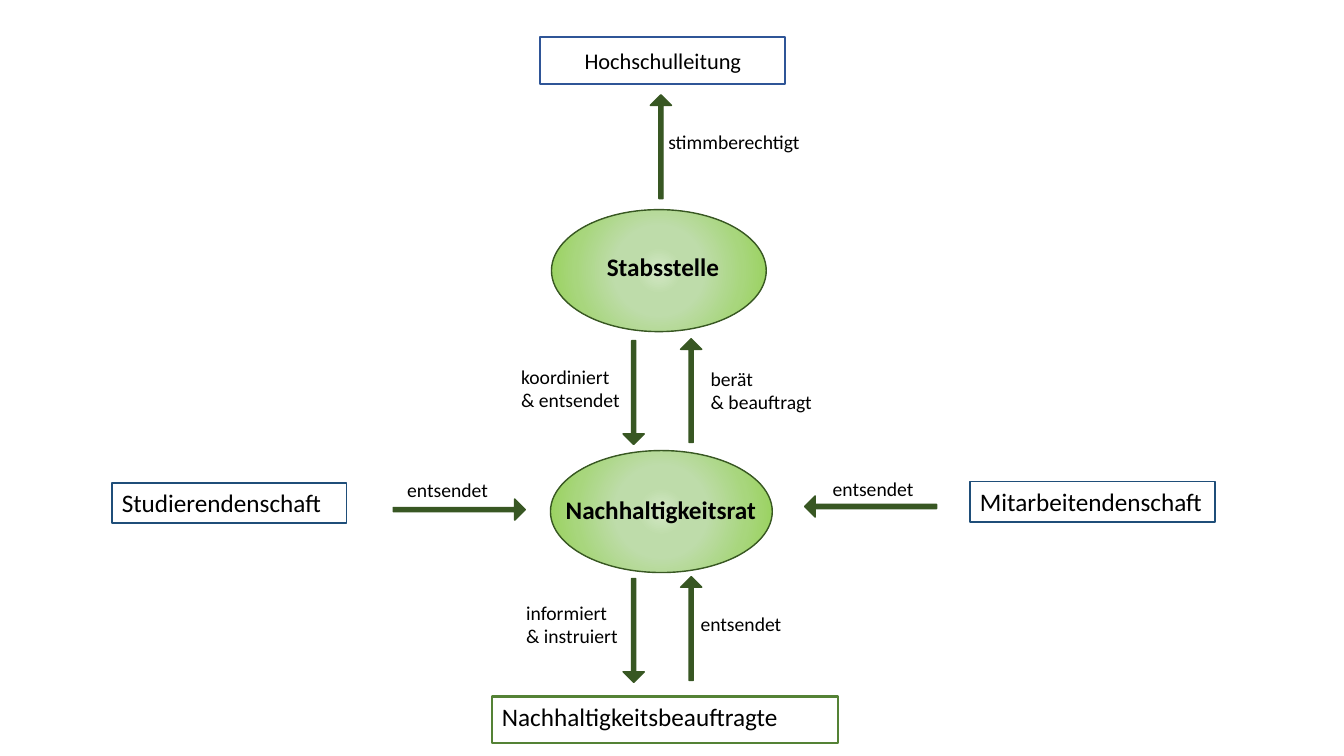
from pptx import Presentation, util as u
from pptx.dml.color import RGBColor
from pptx.enum import shapes, text
from pptx.oxml import parse_xml
from pptx.oxml.ns import nsdecls

GREEN, BLUE, NAVY, LEAF = "385723", "1F4E79", "2F5597", "548235"
GRADIENT = [(0, "D4E8C6"), (19, "BEDCAA"), (36, "BEDCAA"), (68, "A8D67D"), (100, "92D050")]
LEFT, CENTER = text.PP_ALIGN.LEFT, text.PP_ALIGN.CENTER
TOP, MIDDLE = text.MSO_ANCHOR.TOP, text.MSO_ANCHOR.MIDDLE
PRESET = shapes.MSO_SHAPE


def color(value):
    return RGBColor.from_string(value)


def inches(*values):
    return [u.Inches(value) for value in values]


class Diagram:
    font = {"name": "Calibri", "bold": False}

    def __init__(self, slide):
        self.slide = slide

    def set_text(self, shape, words, size, align=LEFT, anchor=TOP, **font):
        frame = shape.text_frame
        frame.text = words
        settings = {"word_wrap": True, "vertical_anchor": anchor,
                    "auto_size": text.MSO_AUTO_SIZE.SHAPE_TO_FIT_TEXT if anchor == TOP
                    else text.MSO_AUTO_SIZE.NONE}
        for key, value in settings.items():
            setattr(frame, key, value)
        for paragraph in frame.paragraphs:
            paragraph.alignment = align
            for key, value in {**self.font, "size": u.Pt(size), **font}.items():
                setattr(paragraph.font, key, value)
            paragraph.font.color.rgb = color("000000")

    def outline(self, parent, preset, frame, line, width=1, fill=None):
        shape = parent.add_shape(preset, *inches(*frame))
        shape.shadow.inherit = False
        if fill:
            shape.fill.solid()
            shape.fill.fore_color.rgb = color(fill)
        else:
            shape.fill.background()
        shape.line.color.rgb = color(line)
        shape.line.width = u.Pt(width)
        return shape

    def label(self, words, frame, parent=None, size=14, **style):
        box = (parent or self.slide.shapes).add_textbox(*inches(*frame))
        self.set_text(box, words, size, **style)

    def box(self, words, frame, line, width=1, size=18, fill=None, **style):
        shape = self.outline(self.slide.shapes, PRESET.RECTANGLE, frame, line, width, fill)
        self.set_text(shape, words, size, **style)

    def ellipse(self, words, frame, label_frame, align=LEFT):
        group = self.slide.shapes.add_group_shape().shapes
        shape = self.outline(group, PRESET.OVAL, frame, GREEN)
        stops = "".join(f'<a:gs pos="{position * 1000}"><a:srgbClr val="{value}"/></a:gs>'
                        for position, value in GRADIENT)
        gradient = parse_xml(
            f'<a:gradFill {nsdecls("a")} rotWithShape="1"><a:gsLst>{stops}</a:gsLst>'
            '<a:path path="circle"><a:fillToRect l="50000" t="50000" r="50000" b="50000"/>'
            '</a:path></a:gradFill>')
        properties = shape.element.spPr
        properties.replace(properties.find("{*}noFill"), gradient)
        self.label(words, label_frame, group, size=18, align=align, bold=True)

    def arrow(self, left, top, length=1.03, rotation=0):
        shape = self.outline(self.slide.shapes, PRESET.DOWN_ARROW,
                             (left, top, 0.21, length), GREEN, fill=GREEN)
        shape.adjustments[0], shape.adjustments[1] = 0.2, 0.5
        shape.rotation = rotation


presentation = Presentation()
presentation.slide_width, presentation.slide_height = inches(13.33, 7.5)
diagram = Diagram(presentation.slides.add_slide(presentation.slide_layouts[6]))

diagram.ellipse("Stabsstelle", (5.47, 2.08, 2.13, 1.21), (5.92, 2.44, 1.32, 0.4))
diagram.ellipse("Nachhaltigkeitsrat", (5.46, 4.47, 2.2, 1.21), (5.3, 4.85, 2.51, 0.4), CENTER)

diagram.box("Hochschulleitung", (5.36, 0.37, 2.43, 0.46), NAVY, 1.5, 16, "FFFFFF",
            align=CENTER, anchor=MIDDLE)
diagram.box("Studierendenschaft", (1.11, 4.79, 2.33, 0.4), BLUE)
diagram.box("Mitarbeitendenschaft", (9.62, 4.78, 2.43, 0.4), BLUE)
diagram.box("Nachhaltigkeitsbeauftragte", (4.88, 6.91, 3.43, 0.46), LEAF, 1.5)

diagram.arrow(6.45, 0.94, rotation=180)
for top in (3.38, 5.74):
    diagram.arrow(6.18, top)
    diagram.arrow(6.75, top - 0.02, rotation=180)
diagram.arrow(4.45, 4.4, 1.31, 270)
diagram.arrow(8.53, 4.37, 1.31, 90)

for words, left, top, width, height in [
    ("stimmberechtigt", 6.53, 1.24, 2.43, 0.38),
    ("koordiniert\n& entsendet", 5.07, 3.57, 1.27, 0.57),
    ("berät\n& beauftragt", 6.95, 3.59, 2.43, 0.57),
    ("entsendet", 3.94, 4.69, 2.43, 0.38),
    ("entsendet", 8.16, 4.68, 2.43, 0.38),
    ("informiert\n& instruiert", 5.12, 5.91, 2.43, 0.57),
    ("entsendet", 6.85, 6.02, 2.43, 0.38),
]:
    diagram.label(words, (left, top, width, height))

presentation.save("out.pptx")
